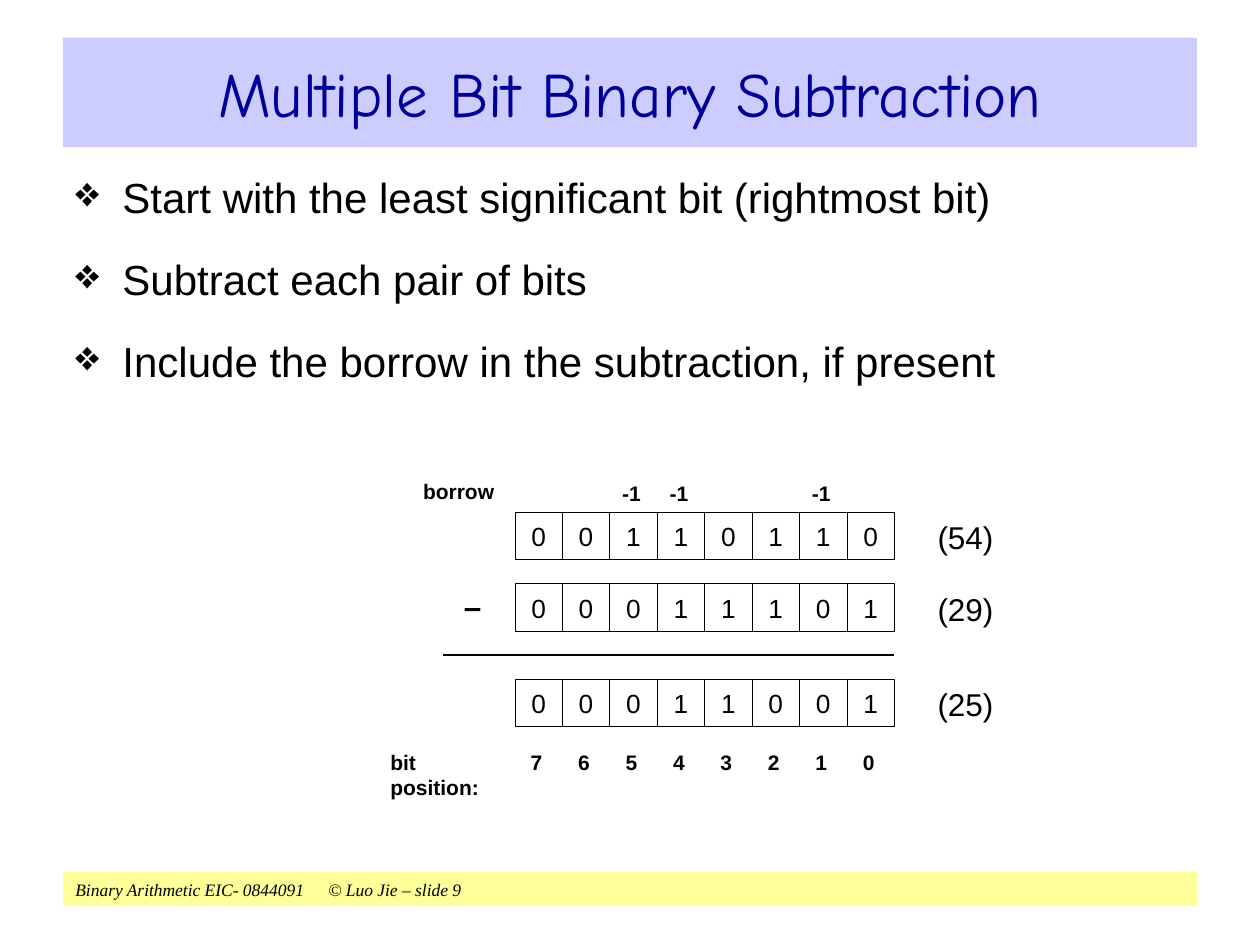
from lxml import etree
from pptx import Presentation
from pptx import util as u
from pptx.dml.color import RGBColor
from pptx.enum import shapes, text
from pptx.oxml.ns import qn


def color(value):
    return RGBColor.from_string(value)


def add_text(left, top, width, height, content, size, bold=False, kind=None,
             font="Arial", ink="000000", fill=None, align=text.PP_ALIGN.LEFT,
             inset=0):
    """Add a text box, or a filled preset shape when a kind is given (in cm)."""
    place = [u.Cm(value) for value in (left, top, width, height)]
    if kind is None:
        shape = slide.shapes.add_textbox(*place)
    else:
        shape = slide.shapes.add_shape(kind, *place)
        shape.shadow.inherit = False
        shape.fill.solid()
        shape.fill.fore_color.rgb = color(fill)
        shape.line.fill.background()
    frame = shape.text_frame
    frame.word_wrap = inset > 0
    frame.margin_left = frame.margin_right = u.Cm(inset)
    frame.margin_top = frame.margin_bottom = u.Cm(inset / 2)
    frame.vertical_anchor = (text.MSO_ANCHOR.TOP if kind is None
                             else text.MSO_ANCHOR.MIDDLE)
    frame.text = content
    for paragraph in frame.paragraphs:
        paragraph.alignment = align
        paragraph.font.name = font
        paragraph.font.size = u.Pt(size)
        paragraph.font.bold = bold
        paragraph.font.color.rgb = color(ink)
    return shape


presentation = Presentation()
presentation.slide_width = u.Cm(25.4)
presentation.slide_height = u.Cm(19.05)
slide = presentation.slides.add_slide(presentation.slide_layouts[6])
RECTANGLE = shapes.MSO_SHAPE.RECTANGLE
CENTER = text.PP_ALIGN.CENTER

# Footer band
footer = add_text(1.27, 17.58, 22.86, 0.69,
                  "Binary Arithmetic EIC- 0844091\t© Luo Jie – slide 9", 10,
                  kind=RECTANGLE, font="Times New Roman", fill="FFFF99",
                  inset=0.25)
paragraph = footer.text_frame.paragraphs[0]
paragraph.font.italic = True
tabs = etree.SubElement(paragraph._p.get_or_add_pPr(), qn("a:tabLst"))
etree.SubElement(tabs, qn("a:tab"), pos=str(u.Cm(5.1)), algn="l")
# tab stops come before the default run properties
tabs.getparent().insert(0, tabs)

# Title band
add_text(1.27, 0.76, 22.86, 2.21, "Multiple Bit Binary Subtraction", 36,
         kind=RECTANGLE, font="Comic Neue", ink="000099", fill="CCCCFF",
         align=CENTER, inset=0.25)

# Bulleted steps
steps = add_text(1.27, 3.33, 22.86, 5.23,
                 "Start with the least significant bit (rightmost bit)\n"
                 "Subtract each pair of bits\n"
                 "Include the borrow in the subtraction, if present",
                 24, inset=0.25)
for paragraph in steps.text_frame.paragraphs:
    properties = paragraph._p.get_or_add_pPr()
    properties.set("marL", str(u.Cm(0.95)))
    properties.set("indent", str(u.Cm(-0.95)))
    bullet = etree.Element(qn("a:buChar"), char="❖")
    properties.insert(0, bullet)
    paragraph.space_before = u.Pt(18)

# Binary numbers: one row of bit cells and the decimal value beside it
grid_left, grid_right, bits = 10.38, 18.03, 8
cell = (grid_right - grid_left) / bits
rows = [(10.33, "00110110", "(54)"),
        (11.77, "00011101", "(29)"),
        (13.69, "00011001", "(25)")]
for top, digits, value in rows:
    for column, digit in enumerate(digits):
        box = add_text(grid_left + column * cell, top, cell, cell, digit, 15,
                       kind=RECTANGLE, fill="FFFFFF", align=CENTER)
        box.line.color.rgb = color("000000")
        box.line.width = u.Pt(0.37)
    add_text(18.9, top + 0.12, 1.14, 0.76, value, 18)

# Minus sign and result line
add_text(9.35, 11.84, 0.36, 0.76, "–", 18, bold=True)
rule = slide.shapes.add_connector(shapes.MSO_CONNECTOR.STRAIGHT, u.Cm(8.94),
                                  u.Cm(13.21), u.Cm(grid_right), u.Cm(13.21))
rule.line.color.rgb = color("000000")
rule.line.width = u.Pt(1.13)
etree.SubElement(rule._element.spPr, qn("a:effectLst"))

# Borrows above and bit positions below the columns
add_text(8.53, 9.65, 1.7, 0.51, "borrow", 12, bold=True)
add_text(7.87, 15.11, 2.41, 0.51, "bit position:", 12, bold=True)
for column in range(bits):
    left = grid_left + column * cell
    position = bits - 1 - column
    add_text(left + 0.32, 15.11, 0.23, 0.51, str(position), 12, bold=True)
    if position in (5, 4, 1):
        add_text(left + 0.25, 9.68, 0.38, 0.51, "-1", 12, bold=True)

presentation.save("out.pptx")
